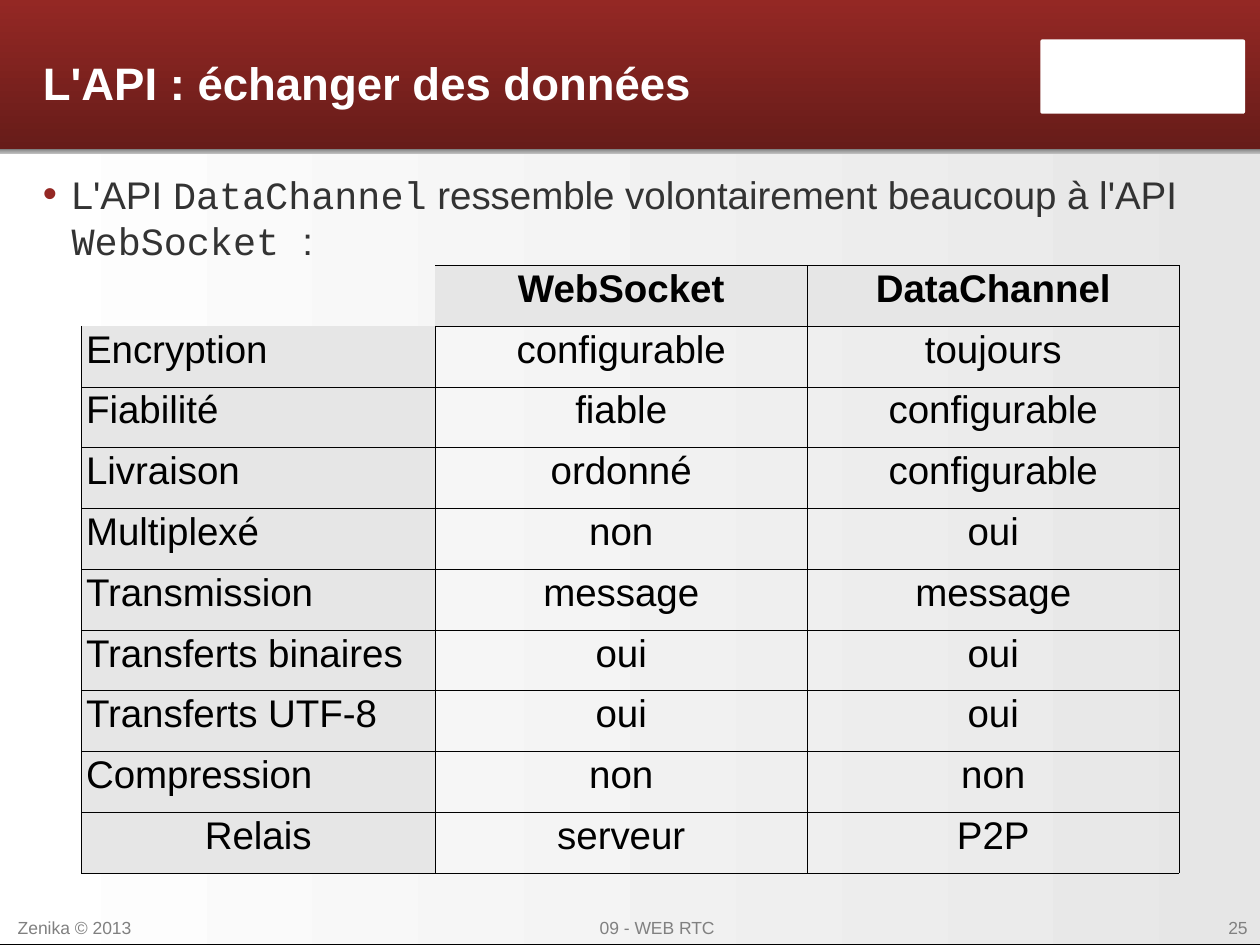
from lxml.etree import SubElement
from pptx import Presentation
from pptx.dml.color import RGBColor
from pptx.enum.shapes import MSO_SHAPE as Shape
from pptx.enum.text import MSO_ANCHOR as Anchor, PP_ALIGN as Align
from pptx.oxml import parse_xml
from pptx.oxml.ns import nsdecls, qn
from pptx.util import Pt

COLORS = {
    "white": "FFFFFF", "black": "000000", "grey": "808080", "silver": "C0C0C0",
    "pale": "E6E6E6", "text": "333333", "red": "942824", "dark red": "671C19",
    "mist": "D5DFE7", "snow": "FEFEFE",
}

TITLE = "L'API : échanger des données"
INTRO = [
    ("L'API ", "Arial"), ("DataChannel", "Courier New"),
    (" ressemble volontairement beaucoup à l'API ", "Arial"),
    ("WebSocket ", "Courier New"), (":", "Arial"),
]
COMPARISON = [
    ("", "WebSocket", "DataChannel"),
    ("Encryption", "configurable", "toujours"),
    ("Fiabilité", "fiable", "configurable"),
    ("Livraison", "ordonné", "configurable"),
    ("Multiplexé", "non", "oui"),
    ("Transmission", "message", "message"),
    ("Transferts binaires", "oui", "oui"),
    ("Transferts UTF-8", "oui", "oui"),
    ("Compression", "non", "non"),
    ("Relais", "serveur", "P2P"),
]
# text, left, width, alignment
FOOTERS = [
    ("Zenika © 2013", 3, 85, Align.JUSTIFY),
    ("09 - WEB RTC", 269, 213, Align.CENTER),
    ("25", 635, 85, Align.RIGHT),
]
# preset, left, top, width, height, corner, colours, angle (counter-clockwise)
PANELS = [
    (Shape.ROUNDED_RECTANGLE, -3, 78.5, 726, 461.5, 0, ("white", "pale"), 0),
    (Shape.ROUNDED_RECTANGLE, 0, 0, 723, 85, 0, ("red", "dark red"), 270),
    (Shape.RECTANGLE, 0, 85, 723, 3, None, ("silver", "grey"), 90),
    (Shape.ROUNDED_RECTANGLE, 594.5, 22.5, 117, 42.5, 0.03, ("white",), None),
]
COLUMN_WIDTHS = (202.3, 212.6, 212.6)
ROW_HEIGHT = 34.73
# borders left out around the empty corner cell: (row, column) -> sides
OPEN_SIDES = {(0, 0): "LRTB", (0, 1): "L", (1, 0): "T"}


def rgb(name):
    return RGBColor.from_string(COLORS[name])


def set_gradient(fill, names, angle):
    fill.gradient()
    fill.gradient_angle = angle
    for stop, name in zip(fill.gradient_stops, names):
        stop.color.rgb = rgb(name)


def style_font(font, size, color, name="Arial", bold=False):
    font.size, font.name, font.bold = Pt(size), name, bold
    font.color.rgb = rgb(color)


def add_panel(page, preset, left, top, width, height, corner, colors, angle):
    panel = page.shapes.add_shape(preset, Pt(left), Pt(top), Pt(width), Pt(height))
    panel.shadow.inherit = False
    panel.line.fill.background()
    if corner is not None:
        panel.adjustments[0] = corner
    if angle is None:
        panel.fill.solid()
        panel.fill.fore_color.rgb = rgb(colors[0])
    else:
        set_gradient(panel.fill, colors, angle)
    return panel


def add_text_frame(page, left, top, width, height, inset_x=0, inset_y=0):
    box = page.shapes.add_textbox(Pt(left), Pt(top), Pt(width), Pt(height))
    frame = box.text_frame
    frame.word_wrap = True
    frame.margin_left = frame.margin_right = Pt(inset_x)
    frame.margin_top = frame.margin_bottom = Pt(inset_y)
    return frame


def add_bullet(para, indent):
    props = para._p.get_or_add_pPr()
    props.set("marL", str(Pt(indent)))
    props.set("indent", str(-Pt(indent)))
    color = SubElement(props, qn("a:buClr"))
    SubElement(color, qn("a:srgbClr"), val=COLORS["red"])
    SubElement(props, qn("a:buSzPct"), val="105000")
    SubElement(props, qn("a:buFont"), typeface="Arial")
    SubElement(props, qn("a:buChar"), char="•")


def set_borders(cell, open_sides):
    line = f'<a:solidFill><a:srgbClr val="{COLORS["black"]}"/></a:solidFill>'
    for index, side in enumerate("LRTB"):
        paint = "<a:noFill/>" if side in open_sides else line
        border = parse_xml(
            f'<a:ln{side} {nsdecls("a")} w="{Pt(0.06)}">{paint}</a:ln{side}>')
        cell._tc.get_or_add_tcPr().insert(index, border)


def fill_cell(cell, row, column, text):
    shaded = (row == 0) != (column == 0)
    if shaded:
        cell.fill.solid()
        cell.fill.fore_color.rgb = rgb("pale")
    else:
        cell.fill.background()
    set_borders(cell, OPEN_SIDES.get((row, column), ""))
    cell.margin_left = cell.margin_right = Pt(2.8)
    cell.margin_top = cell.margin_bottom = Pt(3.6)
    if not text:
        return
    cell.text_frame.text = text
    para = cell.text_frame.paragraphs[0]
    is_label = column == 0 and row < len(COMPARISON) - 1
    para.alignment = Align.JUSTIFY if is_label else Align.CENTER
    para.line_spacing = 0.9
    style_font(para.runs[0].font, 22, "black", bold=row == 0)


def add_comparison(page, left, top):
    table = page.shapes.add_table(
        len(COMPARISON), len(COLUMN_WIDTHS), Pt(left), Pt(top),
        Pt(sum(COLUMN_WIDTHS)), Pt(ROW_HEIGHT * len(COMPARISON))).table
    table.first_row = table.horz_banding = False
    for column, width in zip(table.columns, COLUMN_WIDTHS):
        column.width = Pt(width)
    for r, values in enumerate(COMPARISON):
        table.rows[r].height = Pt(ROW_HEIGHT)
        for c, text in enumerate(values):
            fill_cell(table.cell(r, c), r, c, text)


def main():
    deck = Presentation()
    deck.slide_width, deck.slide_height = Pt(720), Pt(540)
    page = deck.slides.add_slide(deck.slide_layouts[6])
    set_gradient(page.background.fill, ("mist", "snow"), 0)

    body_panel, *_ = [add_panel(page, *panel) for panel in PANELS]
    body_panel.line.color.rgb = rgb("black")
    body_panel.line.width = Pt(0.75)

    for text, left, width, alignment in FOOTERS:
        frame = add_text_frame(page, left, 520.5, width, 12, 7.2, 3.6)
        frame.text = text
        para = frame.paragraphs[0]
        para.alignment = alignment
        style_font(para.runs[0].font, 10, "grey")

    title = add_text_frame(page, 24.5, 7.5, 554.5, 78.5)
    title.vertical_anchor = Anchor.MIDDLE
    title.text = TITLE
    style_font(title.paragraphs[0].runs[0].font, 26, "white", bold=True)

    add_comparison(page, 46.4, 151.5)

    para = add_text_frame(page, 24.5, 97.5, 664.5, 397.5).paragraphs[0]
    add_bullet(para, 16.5)
    for text, font_name in INTRO:
        span = para.add_run()
        span.text = text
        style_font(span.font, 22, "text", font_name)

    deck.save("out.pptx")


if __name__ == "__main__":
    main()
